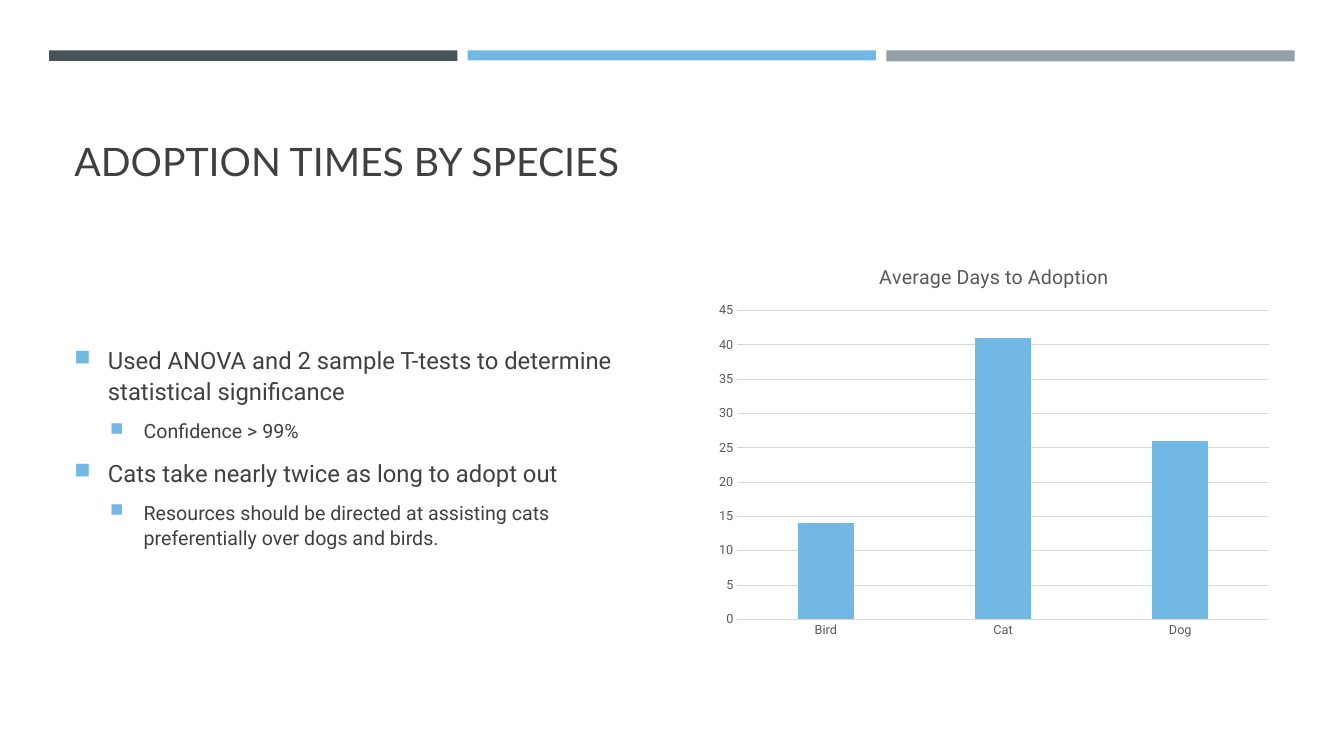
from dataclasses import dataclass

from lxml import etree
from pptx import Presentation
from pptx.chart.data import CategoryChartData
from pptx.dml.color import RGBColor
from pptx.enum.chart import XL_CHART_TYPE as ChartType, XL_TICK_MARK as TickMark
from pptx.enum.shapes import MSO_SHAPE as Shape
from pptx.enum.text import MSO_ANCHOR as Anchor, PP_ALIGN as Align
from pptx.oxml.ns import qn
from pptx.slide import Slide
from pptx.text.text import Font
from pptx.util import Pt

SLATE = RGBColor(0x46, 0x53, 0x59)
BLUE = RGBColor(0x71, 0xB9, 0xE4)
GRAY = RGBColor(0x96, 0x9F, 0xA7)
TEXT = RGBColor(0x40, 0x40, 0x40)
CHART_TEXT = RGBColor(0x59, 0x59, 0x59)
GRID = RGBColor(0xD9, 0xD9, 0xD9)
HEADING_FONT = "Lato"
BODY_FONT = "Roboto"

LEFT = 46
CONTENT_TOP, CONTENT_WIDTH, CONTENT_HEIGHT = 175.7, 409, 285.8
CHART_LEFT = 505.5
BAND_LEFT, BAND_TOP, BAND_WIDTH, BAND_PITCH = 35.1, 36, 291.6, 299


@dataclass(frozen=True)
class Band:
    color: RGBColor
    height: float


@dataclass(frozen=True)
class Level:
    size: float
    indent: float
    line_spacing: float


@dataclass(frozen=True)
class Bullet:
    text: str
    level: int = 0


BANDS = [Band(SLATE, 7.5), Band(BLUE, 7.2), Band(GRAY, 7.9)]
LEVELS = [Level(17, 24, 1.1), Level(14, 49.5, 1.05)]
HANGING = 24
BULLETS = [
    Bullet("Used ANOVA and 2 sample T-tests to determine statistical significance"),
    Bullet("Confidence > 99%", 1),
    Bullet("Cats take nearly twice as long to adopt out"),
    Bullet("Resources should be directed at assisting cats preferentially over dogs and birds.", 1),
]
CHART_TITLE = "Average Days to Adoption"
DAYS = {"Bird": 14, "Cat": 41, "Dog": 26}


def style_font(font: Font, name: str, size: float, color: RGBColor) -> None:
    font.name = name
    font.size = Pt(size)
    font.bold = False
    font.color.rgb = color


def add_bands(s: Slide) -> None:
    for i, band in enumerate(BANDS):
        sp = s.shapes.add_shape(Shape.RECTANGLE, Pt(BAND_LEFT + i * BAND_PITCH),
                                Pt(BAND_TOP), Pt(BAND_WIDTH), Pt(band.height))
        sp.shadow.inherit = False
        sp.fill.solid()
        sp.fill.fore_color.rgb = band.color
        sp.line.fill.background()


def format_title(s: Slide) -> None:
    sp = s.shapes.title
    sp.left, sp.top, sp.width, sp.height = Pt(LEFT), Pt(57.6), Pt(868.5), Pt(77.8)
    tf = sp.text_frame
    tf.text = "ADOPTION TIMES BY SPECIES"
    tf.vertical_anchor = Anchor.BOTTOM
    p = tf.paragraphs[0]
    p.alignment = Align.LEFT
    style_font(p.runs[0].font, HEADING_FONT, 28, TEXT)


def add_bullets(s: Slide) -> None:
    sp = s.shapes.add_textbox(Pt(LEFT), Pt(CONTENT_TOP), Pt(CONTENT_WIDTH), Pt(CONTENT_HEIGHT))
    tf = sp.text_frame
    tf.word_wrap = True
    tf.vertical_anchor = Anchor.MIDDLE
    for i, bullet in enumerate(BULLETS):
        level = LEVELS[bullet.level]
        p = tf.add_paragraph() if i else tf.paragraphs[0]
        p.text = bullet.text
        p.level = bullet.level
        p.line_spacing = level.line_spacing
        p.space_before = Pt(0.2 * level.size)
        p.space_after = Pt(6)
        style_font(p.runs[0].font, BODY_FONT, level.size, TEXT)
        pPr = p._p.get_or_add_pPr()
        pPr.set("marL", str(Pt(level.indent)))
        pPr.set("indent", str(-Pt(HANGING)))
        color = etree.SubElement(pPr, qn("a:buClr"))
        etree.SubElement(color, qn("a:srgbClr"), val=str(BLUE))
        etree.SubElement(pPr, qn("a:buSzPct"), val="92000")
        etree.SubElement(pPr, qn("a:buChar"), char="■")


def add_days_chart(s: Slide) -> None:
    data = CategoryChartData()
    data.categories = list(DAYS)
    data.add_series(CHART_TITLE, list(DAYS.values()))
    chart = s.shapes.add_chart(ChartType.COLUMN_CLUSTERED, Pt(CHART_LEFT), Pt(CONTENT_TOP),
                               Pt(CONTENT_WIDTH), Pt(CONTENT_HEIGHT), data).chart
    chart.font.name = BODY_FONT
    chart.font.size = Pt(10)
    chart.has_legend = False
    chart.has_title = True
    tf = chart.chart_title.text_frame
    tf.text = CHART_TITLE
    style_font(tf.paragraphs[0].runs[0].font, BODY_FONT, 14, CHART_TEXT)

    plot = chart.plots[0]
    plot.gap_width, plot.overlap = 219, -27
    plot.vary_by_categories = False
    fill = plot.series[0].format.fill
    fill.solid()
    fill.fore_color.rgb = BLUE

    for axis in (chart.category_axis, chart.value_axis):
        axis.major_tick_mark = axis.minor_tick_mark = TickMark.NONE
        style_font(axis.tick_labels.font, BODY_FONT, 9, CHART_TEXT)
    value_axis = chart.value_axis
    value_axis.minimum_scale, value_axis.maximum_scale, value_axis.major_unit = 0, 45, 5
    value_axis.format.line.fill.background()
    for line in (chart.category_axis.format.line, value_axis.major_gridlines.format.line):
        line.color.rgb = GRID
        line.width = Pt(0.75)


def main() -> None:
    prs = Presentation()
    prs.slide_width, prs.slide_height = Pt(960), Pt(540)
    s = prs.slides.add_slide(prs.slide_layouts[5])
    add_bands(s)
    format_title(s)
    add_bullets(s)
    add_days_chart(s)
    prs.save("out.pptx")


if __name__ == "__main__":
    main()
